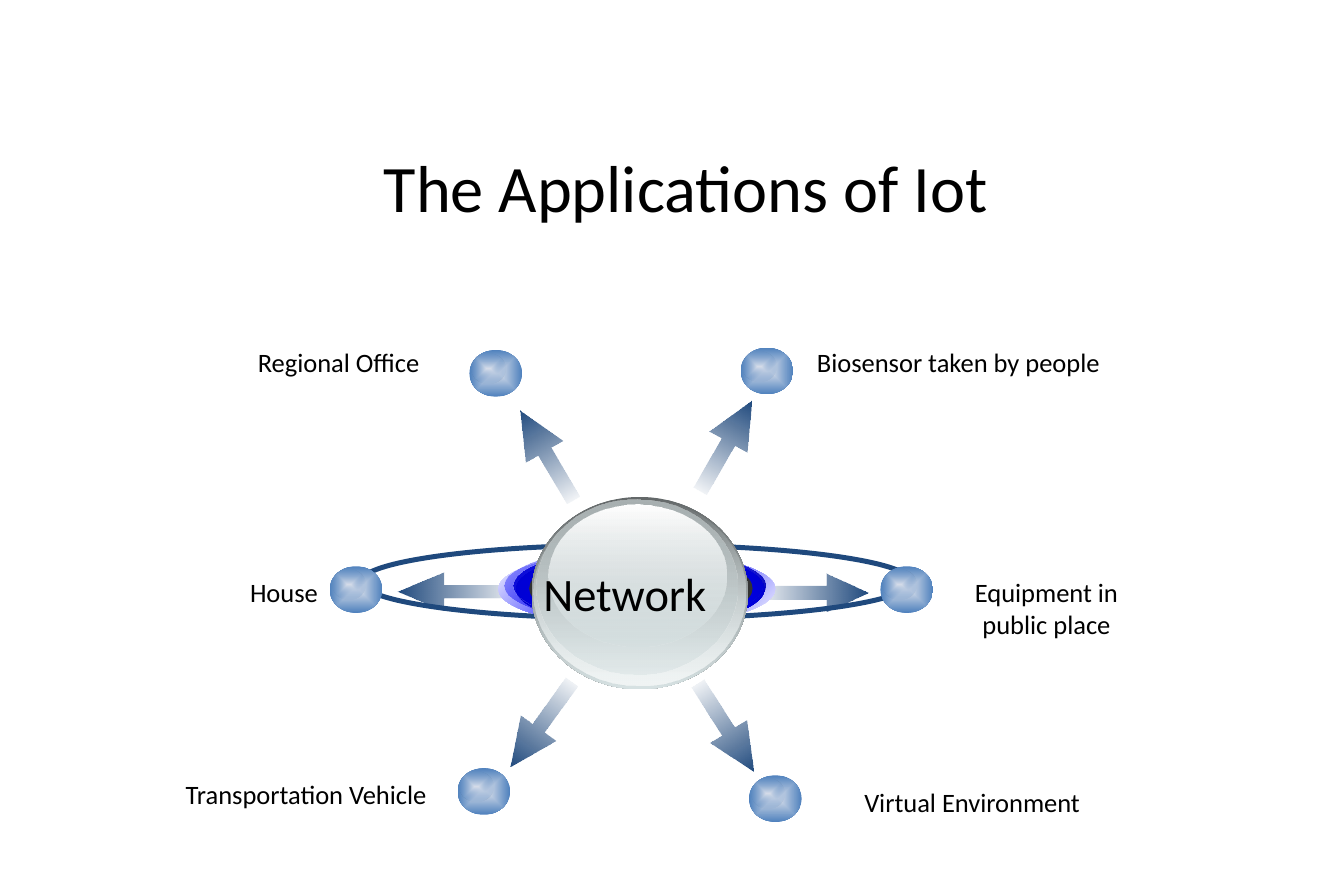
from dataclasses import dataclass
from typing import NamedTuple, Optional

from pptx import Presentation
from pptx.dml.color import RGBColor
from pptx.enum.shapes import MSO_SHAPE
from pptx.enum.text import MSO_ANCHOR, MSO_AUTO_SIZE, PP_ALIGN
from pptx.oxml import parse_xml
from pptx.oxml.ns import nsdecls, qn
from pptx.util import Emu, Pt

EMU_PER_PX = 9144  # 100 px to the inch
FONT = "Calibri"
BLACK, NAVY = "000000", "1F497D"


class Box(NamedTuple):
    left: int
    top: int
    width: int
    height: int


class Stop(NamedTuple):
    color: str
    opacity: int = 100


@dataclass
class Gradient:
    stops: list[Stop]
    angle: Optional[int] = None  # None spreads from the centre


@dataclass
class Arrow:
    box: Box
    rotation: float
    head: float = 1.11


@dataclass
class Disc:
    box: Box
    gradient: Gradient


@dataclass
class Label:
    text: str
    box: Box
    alignment: PP_ALIGN = PP_ALIGN.LEFT
    size: int = 16
    wrap: bool = False


ARROW_FILL = Gradient([Stop("1D4577", 0), Stop(NAVY)], 0)
NODE_FILL = Gradient([Stop("D8DFEB"), Stop("4F81BD")])
NODE_SHINE = Gradient([Stop("D8DFEB"), Stop("4F81BD", 0)])

ARROWS = [
    Arrow(Box(564, 355, 87, 36), 299.6),
    Arrow(Box(564, 591, 87, 36), 57.8),
    Arrow(Box(414, 363, 87, 36), 239.5),
    Arrow(Box(409, 588, 87, 36), 125.6),
    Arrow(Box(630, 480, 97, 32), 0),
    Arrow(Box(333, 479, 106, 32), 180, 1.21),
]
ORBIT = Box(302, 456, 461, 62)
NODES = [(393, 293), (276, 474), (383, 643), (620, 291), (737, 474), (627, 649)]

RINGS = [
    Disc(Box(417, 462, 232, 62), Gradient([Stop("FFFFFF"), Stop("0000FF"), Stop("FFFFFF")], 45)),
    Disc(Box(422, 459, 219, 62), Gradient([Stop("0000FF", 32), Stop("0000B6")], 45)),
    Disc(Box(432, 462, 208, 62), Gradient([Stop("0000C3"), Stop("0000FF"), Stop("0000C3")], 315)),
    Disc(Box(430, 459, 208, 62), Gradient([Stop("0000D1"), Stop("0000FF", 0)], 45)),
]
RING_CORE = Box(443, 462, 187, 61)
GLOBE = [
    Disc(Box(445, 416, 181, 161), Gradient([Stop("636869"), Stop("D6E1E2")], 90)),
    Disc(Box(447, 417, 177, 157), Gradient([Stop("D6E1E2", 0), Stop("F1F5F5")], 90)),
    Disc(Box(449, 418, 168, 147), Gradient([Stop("AAB2B3"), Stop("D6E1E2", 48)], 90)),
    Disc(Box(459, 422, 149, 119), Gradient([Stop("FFFFFF"), Stop("D6E1E2", 38)], 90)),
]

LABELS = [
    Label("Network", Box(444, 468, 158, 57), PP_ALIGN.CENTER, size=28),
    Label("Biosensor taken by people", Box(674, 285, 260, 37)),
    Label("Equipment in public place", Box(786, 477, 180, 64), PP_ALIGN.CENTER, wrap=True),
    Label("House", Box(198, 477, 78, 37), PP_ALIGN.RIGHT),
    Label("Regional Office", Box(206, 285, 158, 37)),
    Label("Virtual Environment", Box(711, 653, 203, 37), PP_ALIGN.RIGHT),
    Label("Transportation Vehicle", Box(143, 646, 224, 37), PP_ALIGN.RIGHT),
]


def px(length: int) -> Emu:
    return Emu(length * EMU_PER_PX)


def emu(box: Box) -> list[Emu]:
    return [px(length) for length in box]


def color(code: str) -> RGBColor:
    return RGBColor.from_string(code)


def add_plain_shape(slide, kind: MSO_SHAPE, box: Box):
    shape = slide.shapes.add_shape(kind, *emu(box))
    shape.shadow.inherit = False
    shape.fill.background()
    shape.line.fill.background()
    return shape


def fill_gradient(shape, gradient: Gradient) -> None:
    last = len(gradient.stops) - 1
    stops = "".join(
        f'<a:gs pos="{100000 * index // last}"><a:srgbClr val="{color(stop.color)}">'
        f'<a:alpha val="{stop.opacity * 1000}"/></a:srgbClr></a:gs>'
        for index, stop in enumerate(gradient.stops)
    )
    if gradient.angle is None:
        direction = (
            '<a:path path="shape"><a:fillToRect l="50000" t="50000" '
            'r="50000" b="50000"/></a:path>'
        )
    else:
        direction = f'<a:lin ang="{gradient.angle * 60000}" scaled="0"/>'
    properties = shape.element.spPr
    properties.replace(
        properties.find(qn("a:noFill")),
        parse_xml(
            f'<a:gradFill {nsdecls("a")} rotWithShape="1">'
            f"<a:gsLst>{stops}</a:gsLst>{direction}</a:gradFill>"
        ),
    )


def add_disc(slide, disc: Disc) -> None:
    fill_gradient(add_plain_shape(slide, MSO_SHAPE.OVAL, disc.box), disc.gradient)


def add_arrow(slide, arrow: Arrow) -> None:
    shape = add_plain_shape(slide, MSO_SHAPE.RIGHT_ARROW, arrow.box)
    shape.adjustments[0] = 0.352
    shape.adjustments[1] = arrow.head
    shape.rotation = arrow.rotation
    fill_gradient(shape, ARROW_FILL)


def add_node(slide, left: int, top: int) -> None:
    add_disc(slide, Disc(Box(left, top, 44, 39), NODE_FILL))
    add_disc(slide, Disc(Box(left + 2, top + 3, 28, 25), NODE_SHINE))


def write(shape, text: str, size: int, alignment: PP_ALIGN) -> None:
    paragraph = shape.text_frame.paragraphs[0]
    paragraph.alignment = alignment
    run = paragraph.add_run()
    run.text = text
    run.font.name = FONT
    run.font.size = Pt(size)
    run.font.color.rgb = color(BLACK)


def add_label(slide, label: Label) -> None:
    shape = slide.shapes.add_textbox(*emu(label.box))
    shape.text_frame.word_wrap = label.wrap
    shape.text_frame.auto_size = MSO_AUTO_SIZE.SHAPE_TO_FIT_TEXT
    write(shape, label.text, label.size, label.alignment)


def main() -> None:
    presentation = Presentation()
    presentation.slide_width, presentation.slide_height = px(1125), px(750)
    slide = presentation.slides.add_slide(presentation.slide_layouts[5])

    # Title
    title = slide.shapes.title
    title.left, title.top, title.width, title.height = emu(Box(79, 110, 990, 92))
    title.text_frame.auto_size = MSO_AUTO_SIZE.NONE
    title.text_frame.vertical_anchor = MSO_ANCHOR.MIDDLE
    write(title, "The Applications of Iot", 40, PP_ALIGN.CENTER)

    # Arrows, orbit and nodes
    for arrow in ARROWS:
        add_arrow(slide, arrow)
    orbit = add_plain_shape(slide, MSO_SHAPE.OVAL, ORBIT)
    orbit.line.color.rgb = color(NAVY)
    orbit.line.width = Pt(3)
    for left, top in NODES:
        add_node(slide, left, top)

    # Network globe with its blue rings
    for ring in RINGS:
        add_disc(slide, ring)
    core = add_plain_shape(slide, MSO_SHAPE.OVAL, RING_CORE)
    core.fill.solid()
    core.fill.fore_color.rgb = color("333333")
    for layer in GLOBE:
        add_disc(slide, layer)

    # Labels
    for label in LABELS:
        add_label(slide, label)

    presentation.save("out.pptx")


if __name__ == "__main__":
    main()
